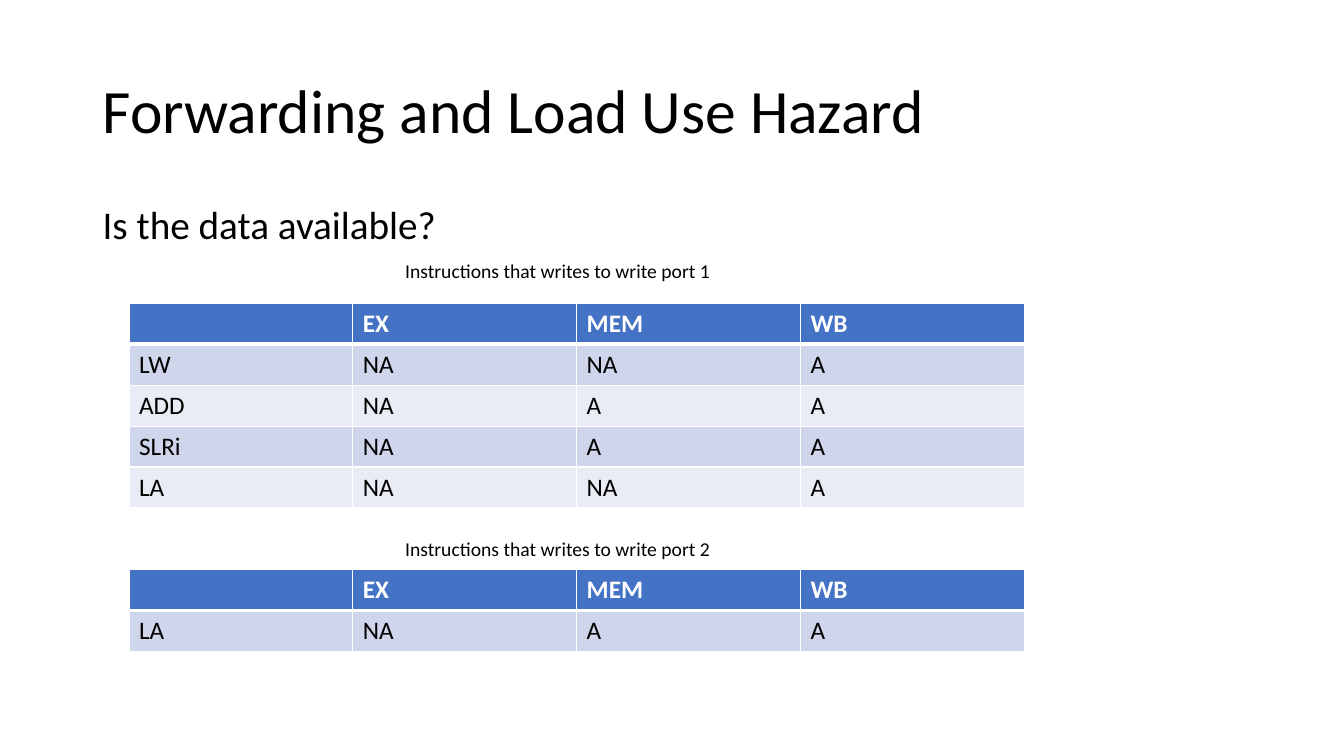
"""Builds the slide on forwarding and the load use hazard."""
from lxml.etree import SubElement
from pptx import Presentation
from pptx.dml.color import RGBColor
from pptx.enum.text import MSO_ANCHOR as Anchor
from pptx.oxml.ns import qn
from pptx.util import Inches, Pt

HEADER = ["", "EX", "MEM", "WB"]
PORT_1_ROWS = [
    ["LW", "NA", "NA", "A"],
    ["ADD", "NA", "A", "A"],
    ["SLRi", "NA", "A", "A"],
    ["LA", "NA", "NA", "A"],
]
PORT_2_ROWS = [["LA", "NA", "A", "A"]]


def color(value):
    return RGBColor.from_string(value)


class SlideBuilder:
    font = "Calibri"
    ink, paper = "000000", "FFFFFF"
    header_fill, bands = "4472C4", ("CFD5EA", "E9EBF5")
    column_width, row_height = 2.22, 0.406

    def __init__(self, slide):
        self.slide = slide

    def style(self, font, ink, **values):
        font.color.rgb = color(ink)
        for name, value in {"name": self.font, **values}.items():
            setattr(font, name, value)

    def text(self, words, left, top, width, height, size):
        box = self.slide.shapes.add_textbox(
            Inches(left), Inches(top), Inches(width), Inches(height))
        frame = box.text_frame
        for name, value in {"word_wrap": True, "vertical_anchor": Anchor.MIDDLE}.items():
            setattr(frame, name, value)
        paragraph = frame.paragraphs[0]
        paragraph.line_spacing = 0.9
        run = paragraph.add_run()
        run.text = words
        self.style(run.font, self.ink, size=Pt(size))

    def borders(self, cell, **widths):
        properties = cell._tc.get_or_add_tcPr()
        for position, (side, width) in enumerate(widths.items()):
            line = SubElement(properties, qn(f"a:ln{side}"), w=str(Pt(width)))
            fill = SubElement(line, qn("a:solidFill"))
            SubElement(fill, qn("a:srgbClr"), val=self.paper)
            properties.insert(position, line)

    def table(self, rows, left, top):
        grid = [HEADER, *rows]
        table = self.slide.shapes.add_table(
            len(grid), len(HEADER), Inches(left), Inches(top),
            Inches(self.column_width * len(HEADER)),
            Inches(self.row_height * len(grid))).table
        for row_index, values in enumerate(grid):
            table.rows[row_index].height = Inches(self.row_height)
            is_header = row_index == 0
            fill = self.header_fill if is_header else self.bands[(row_index - 1) % 2]
            ink = self.paper if is_header else self.ink
            for column_index, value in enumerate(values):
                cell = table.cell(row_index, column_index)
                cell.text = value
                self.style(cell.text_frame.paragraphs[0].font, ink,
                           size=Pt(18), bold=is_header)
                for run in cell.text_frame.paragraphs[0].runs:
                    self.style(run.font, ink, size=Pt(18), bold=is_header)
                cell.fill.solid()
                cell.fill.fore_color.rgb = color(fill)
                self.borders(cell, L=1, R=1, T=3 if row_index == 1 else 1,
                             B=3 if is_header else 1)


def main():
    deck = Presentation()
    deck.slide_width, deck.slide_height = Inches(13.33), Inches(7.5)
    builder = SlideBuilder(deck.slides.add_slide(deck.slide_layouts[6]))
    builder.text("Forwarding and Load Use Hazard", 0.92, 0.4, 11.5, 1.45, 44)
    builder.text("Is the data available?", 0.92, 2, 11.5, 0.5, 28)
    ports = [(PORT_1_ROWS, 2.5, 3.01), (PORT_2_ROWS, 5.26, 5.65)]
    for port, (rows, caption_top, table_top) in enumerate(ports, start=1):
        builder.text(f"Instructions that writes to write port {port}",
                     3.92, caption_top, 4, 0.4, 14)
        builder.table(rows, 1.28, table_top)
    deck.save("out.pptx")


if __name__ == "__main__":
    main()
